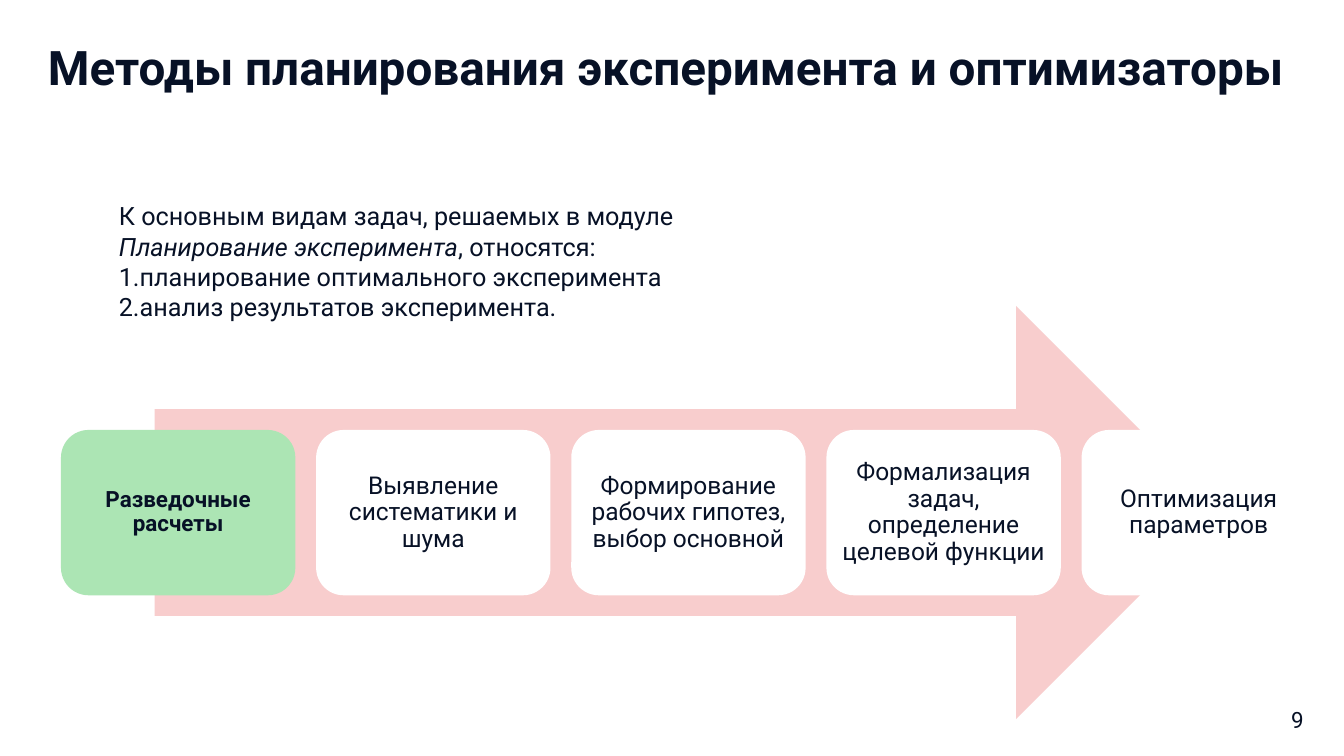
import pptx
import pptx.util
import pptx.dml.color
import pptx.enum.shapes
import pptx.enum.text
from lxml import etree

Pt = pptx.util.Pt
RGBColor = pptx.dml.color.RGBColor
MSO_SHAPE = pptx.enum.shapes.MSO_SHAPE
MSO_ANCHOR = pptx.enum.text.MSO_ANCHOR
PP_ALIGN = pptx.enum.text.PP_ALIGN

INK = RGBColor(0x07, 0x11, 0x26)
PINK = RGBColor(0xF8, 0xCD, 0xCD)
GREEN = RGBColor(0xAC, 0xE5, 0xB4)
WHITE = RGBColor(0xFF, 0xFF, 0xFF)
FONT = "Roboto"

TITLE = "Методы планирования эксперимента и оптимизаторы"
PAGE_NUMBER = "9"
INTRO = [
    ("К основным видам задач, решаемых в модуле ", False),
    ("Планирование эксперимента", True),
    (", относятся:", False),
]
TASKS = ["планирование оптимального эксперимента", "анализ результатов эксперимента."]
# text, fill, size, bold, margin
STAGES = [
    ("Разведочные расчеты", GREEN, 32, True, 9.6),
    ("Выявление систематики и шума", WHITE, 35, False, 10.5),
    ("Формирование рабочих гипотез, выбор основной", WHITE, 35, False, 10.5),
    ("Формализация задач, определение целевой функции", WHITE, 35, False, 10.5),
    ("Оптимизация параметров", WHITE, 35, False, 10.5),
]

ARROW = (221, 437, 1525.7, 590.4)
CARD_LEFT, CARD_TOP, CARD_WIDTH, CARD_HEIGHT = 87.1, 614.2, 334.8, 236.2
CARD_PITCH = 364.5


def style(paragraph, size, bold=False):
    font = paragraph.font
    font.name, font.size, font.bold = FONT, Pt(size), bold
    font.color.rgb = INK


def set_margins(frame, horizontal, vertical):
    frame.word_wrap = True
    frame.margin_left = frame.margin_right = Pt(horizontal)
    frame.margin_top = frame.margin_bottom = Pt(vertical)


def add_text_frame(slide, box, horizontal=4.5, vertical=4.5):
    frame = slide.shapes.add_textbox(*map(Pt, box)).text_frame
    set_margins(frame, horizontal, vertical)
    return frame


def add_filled_shape(slide, kind, box, fill):
    shape = slide.shapes.add_shape(kind, *map(Pt, box))
    shape.shadow.inherit = False
    shape.fill.solid()
    shape.fill.fore_color.rgb = fill
    shape.line.fill.background()
    return shape


def number(paragraph):
    properties = paragraph._p.get_or_add_pPr()
    etree.SubElement(properties, pptx.oxml.ns.qn("a:buAutoNum"), type="arabicPeriod")


def main():
    deck = pptx.Presentation()
    deck.slide_width, deck.slide_height = Pt(1920), Pt(1080)
    slide = deck.slides.add_slide(deck.slide_layouts[6])

    title = add_text_frame(slide, (64, 58.3, 1794.3, 156.2)).paragraphs[0]
    title.text = TITLE
    title.line_spacing = 0.9
    style(title, 68, bold=True)

    page_frame = add_text_frame(slide, (1810.8, 992.2, 85, 70.6))
    page_frame.vertical_anchor = MSO_ANCHOR.MIDDLE
    page = page_frame.paragraphs[0]
    page.text = PAGE_NUMBER
    page.alignment = PP_ALIGN.CENTER
    style(page, 32)

    add_filled_shape(slide, MSO_SHAPE.RIGHT_ARROW, ARROW, PINK)
    for i, (text, fill, size, bold, margin) in enumerate(STAGES):
        box = (CARD_LEFT + i * CARD_PITCH, CARD_TOP, CARD_WIDTH, CARD_HEIGHT)
        card = add_filled_shape(slide, MSO_SHAPE.ROUNDED_RECTANGLE, box, fill)
        set_margins(card.text_frame, margin, margin)
        card.text_frame.vertical_anchor = MSO_ANCHOR.MIDDLE
        stage = card.text_frame.paragraphs[0]
        stage.text = text
        stage.alignment = PP_ALIGN.CENTER
        stage.line_spacing = 0.9
        style(stage, size, bold)

    tasks_frame = add_text_frame(slide, (162.7, 283, 959.8, 181.4), 7.2, 3.6)
    intro = tasks_frame.paragraphs[0]
    for text, italic in INTRO:
        run = intro.add_run()
        run.text = text
        run.font.italic = italic
    style(intro, 36)
    for text in TASKS:
        task = tasks_frame.add_paragraph()
        task.text = text
        number(task)
        style(task, 36)

    deck.save("out.pptx")


if __name__ == "__main__":
    main()
